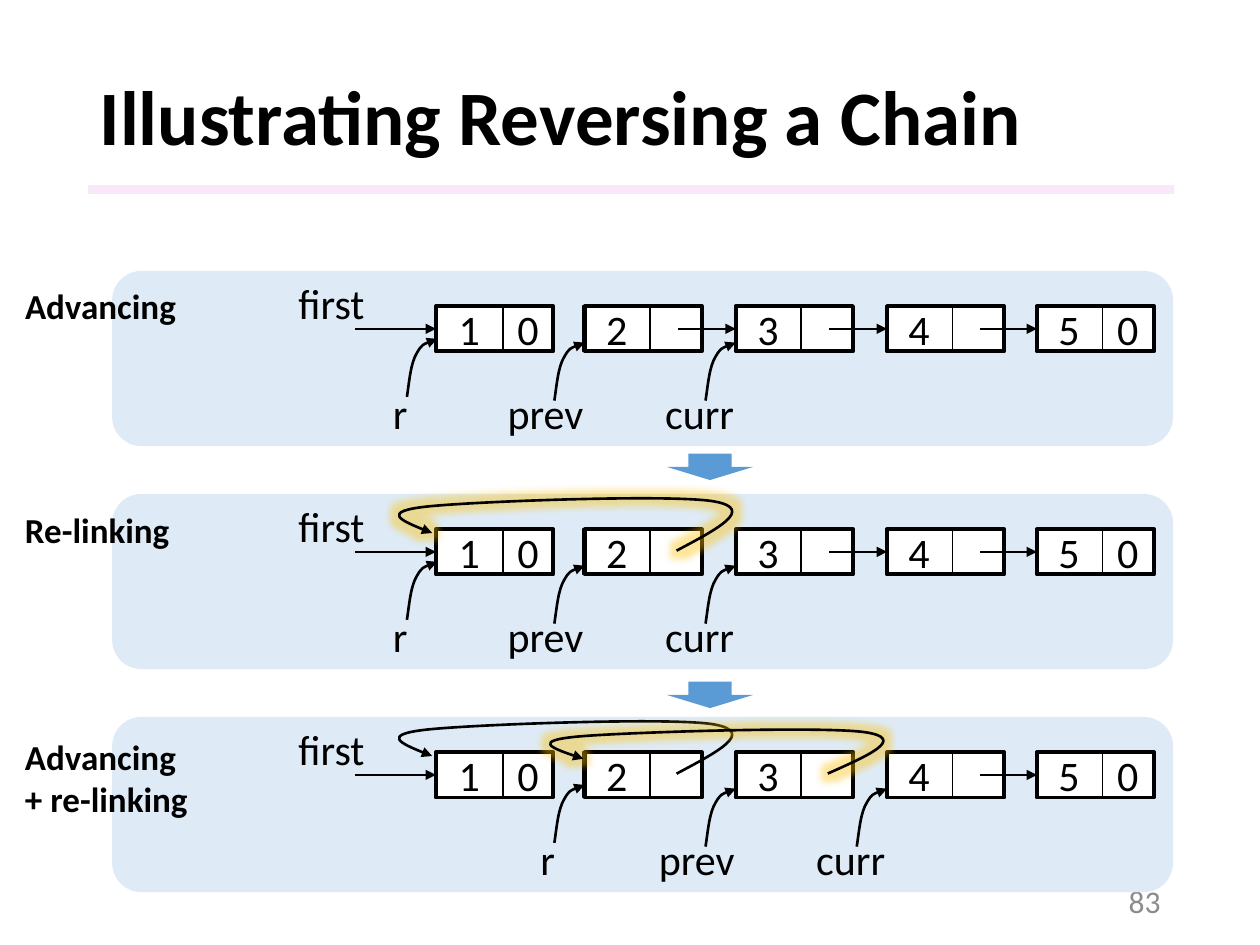
from lxml import etree
from pptx import Presentation
from pptx.dml.color import RGBColor
from pptx.enum.shapes import MSO_CONNECTOR, MSO_SHAPE
from pptx.enum.text import MSO_ANCHOR, PP_ALIGN
from pptx.oxml.ns import qn
from pptx.util import Inches, Pt

RECT, ROUND, ARROW = MSO_SHAPE.RECTANGLE, MSO_SHAPE.ROUNDED_RECTANGLE, MSO_SHAPE.RIGHT_ARROW
STRAIGHT = MSO_CONNECTOR.STRAIGHT
LEFT, CENTER, RIGHT = PP_ALIGN.LEFT, PP_ALIGN.CENTER, PP_ALIGN.RIGHT
TOP, MIDDLE = MSO_ANCHOR.TOP, MSO_ANCHOR.MIDDLE
COLORS = {"black": "000000", "white": "FFFFFF", "rule": "F3D2F4", "number": "8C8C8C",
          "arrow": "5B9BD5", "panel": "DEEBF7", "glow": "FFC000"}

NODE_X = [3.46, 4.63, 5.83, 7.03, 8.22]
DATA_W, LINK_W, CELL_H = 0.53, 0.4, 0.36
# Pointer name, label offset from its node, label width, tip height in the panel
POINTERS = [("r", -0.44, 0.32, 0.54), ("prev", -0.7, 0.81, 0.57), ("curr", -0.65, 0.76, 0.57)]
# Bezier points: pointer relative to its tip, loop relative to node left and panel top
POINTER_CURVE = [(-0.24, 0.46), (-0.22, 0.33), (-0.21, 0.19), (-0.16, 0.11),
                 (-0.12, 0.04), (-0.06, 0.02), (0, 0)]
LOOP_START_Y = 0.45
LOOP_CURVE = [(0.74, LOOP_START_Y), (1.06, 0.28), (1.37, 0.12), (1.04, 0.06), (0.71, 0),
              (-0.87, 0.06), (-1.24, 0.1), (-1.61, 0.14), (-1.41, 0.23), (-1.2, 0.31)]


def rgb(name):
    return RGBColor.from_string(COLORS[name])


def write(shape, text, size=24, color="black", bold=False, align=LEFT, anchor=TOP,
          wrap=True, spacing=None):
    tf = shape.text_frame
    tf.word_wrap, tf.vertical_anchor = wrap, anchor
    for i, line in enumerate(text.split("\n")):
        p = tf.paragraphs[0] if i == 0 else tf.add_paragraph()
        p.alignment = align
        if spacing:
            p.line_spacing = spacing
        r = p.add_run()
        r.text = line
        r.font.name, r.font.size, r.font.bold = "Calibri", Pt(size), bold
        r.font.color.rgb = rgb(color)


def add_text(s, text, x, y, w, h, **fmt):
    write(s.shapes.add_textbox(Inches(x), Inches(y), Inches(w), Inches(h)), text, **fmt)


def add_box(s, kind, x, y, w, h, fill=None, line=None):
    sp = s.shapes.add_shape(kind, Inches(x), Inches(y), Inches(w), Inches(h))
    sp.shadow.inherit = False
    if fill:
        sp.fill.solid()
        sp.fill.fore_color.rgb = rgb(fill)
    else:
        sp.fill.background()
    if line:
        sp.line.color.rgb = rgb("black")
        sp.line.width = Pt(line)
    else:
        sp.line.fill.background()
    return sp


def add_alpha(color, percent):
    etree.SubElement(color, qn("a:alpha"), val=str(percent * 1000))


def style_arrow(sp):
    sp.line.color.rgb = rgb("black")
    sp.line.width = Pt(1.5)
    etree.SubElement(sp.line._get_or_add_ln(), qn("a:tailEnd"), type="triangle")


def add_link(s, x, y, frame):
    """Straight arrow to the left side of a node frame."""
    c = s.shapes.add_connector(STRAIGHT, Inches(x), Inches(y), frame.left, Inches(y))
    c.end_connect(frame, 1)
    style_arrow(c)
    etree.SubElement(c._element.spPr, qn("a:effectLst"))


def add_curve(s, points, glow=False):
    """Arrow along cubic Beziers: a start point, then three points per segment."""
    start, *rest = [(Inches(x), Inches(y)) for x, y in points]
    fb = s.shapes.build_freeform(*start)
    fb.add_line_segments(rest, close=False)
    sp = fb.convert_to_shape()
    sp.shadow.inherit = False
    sp.fill.background()
    style_arrow(sp)
    # Group the line targets three by three into Bezier segments
    targets = list(sp._element.iter(qn("a:lnTo")))
    outline = targets[0].getparent()
    for i in range(0, len(targets), 3):
        segment = etree.SubElement(outline, qn("a:cubicBezTo"))
        for target in targets[i:i + 3]:
            segment.append(target[0])
            outline.remove(target)
    if glow:
        effects = sp._element.spPr.find(qn("a:effectLst"))
        halo = etree.SubElement(effects, qn("a:glow"), rad=str(Pt(8)))
        add_alpha(etree.SubElement(halo, qn("a:srgbClr"), val=COLORS["glow"]), 40)


def add_node(s, index, y, null):
    x = NODE_X[index]
    cell = add_box(s, RECT, x, y, DATA_W, CELL_H, "white", 1)
    write(cell, str(index + 1), align=CENTER, anchor=MIDDLE)
    cell = add_box(s, RECT, x + DATA_W, y, LINK_W, CELL_H, "white", 1)
    if null:
        write(cell, "0", align=CENTER, anchor=MIDDLE)
    frame_x = x + 0.01 if index else x
    return add_box(s, RECT, frame_x, y, DATA_W + LINK_W, CELL_H, line=2.25)


def add_loop(s, index, top, flatten, glow):
    add_curve(s, [(NODE_X[index] + dx, top + LOOP_START_Y - (LOOP_START_Y - dy) * flatten)
                  for dx, dy in LOOP_CURVE], glow)


def add_stage(s, top, first_link, pointed, loops):
    """Panel with a chain; links run forward from first_link, loops run back."""
    add_box(s, ROUND, 0.89, top, 8.42, 1.39, "panel")
    add_text(s, "first", 2.27, top, 0.73, 0.5, wrap=False)
    frames = [add_node(s, i, top + 0.28, i in (0, 4)) for i in range(len(NODE_X))]
    mid = top + 0.28 + CELL_H / 2
    add_link(s, 2.82, mid, frames[0])
    for i in range(first_link, len(NODE_X) - 1):
        add_link(s, NODE_X[i] + 0.75, mid, frames[i + 1])
    for i, (name, dx, w, tip_y) in enumerate(POINTERS, pointed):
        tip_x = NODE_X[i] + 0.01
        add_curve(s, [(tip_x + px, top + tip_y + py) for px, py in POINTER_CURVE])
        add_text(s, name, NODE_X[i] + dx, top + 0.88, w, 0.5, wrap=False)
    for index, flatten, glow in loops:
        add_loop(s, index, top, flatten, glow)


def main():
    prs = Presentation()
    prs.slide_width, prs.slide_height = Inches(10), Inches(7.5)
    s = prs.slides.add_slide(prs.slide_layouts[5])

    # Title, rule and slide number
    title = s.shapes.title
    title.left, title.top, title.width, title.height = map(Inches, (0.69, 0.4, 8.62, 1.11))
    write(title, "Illustrating Reversing a Chain", size=44, bold=True, anchor=MIDDLE, spacing=0.9)
    rule = add_box(s, RECT, 0.7, 1.47, 8.62, 0.07, "rule")
    add_alpha(rule._element.spPr.find(qn("a:solidFill"))[0], 50)
    add_text(s, "83", 7.06, 6.95, 2.25, 0.4, size=18, color="number", align=RIGHT, anchor=MIDDLE)

    # Arrows between stages
    for y in (3.36, 5.17):
        add_box(s, ARROW, 5.53, y, 0.21, 0.69, "arrow").rotation = 90

    # Stages: top, first forward link, node of r, loops (node, flattening, glow)
    add_stage(s, 2.15, 1, 0, [])
    add_stage(s, 3.92, 2, 0, [(1, 1, True)])
    add_stage(s, 5.69, 3, 1, [(1, 1, False), (2, 0.84, True)])

    # Stage captions
    for text, y, w, h in (("Advancing", 2.21, 1.59, 0.44), ("Re-linking", 3.99, 1.53, 0.44),
                          ("Advancing\n+ re-linking", 5.79, 1.53, 0.77)):
        add_text(s, text, 0.1, y, w, h, size=20, bold=True)

    prs.save("out.pptx")


if __name__ == "__main__":
    main()
